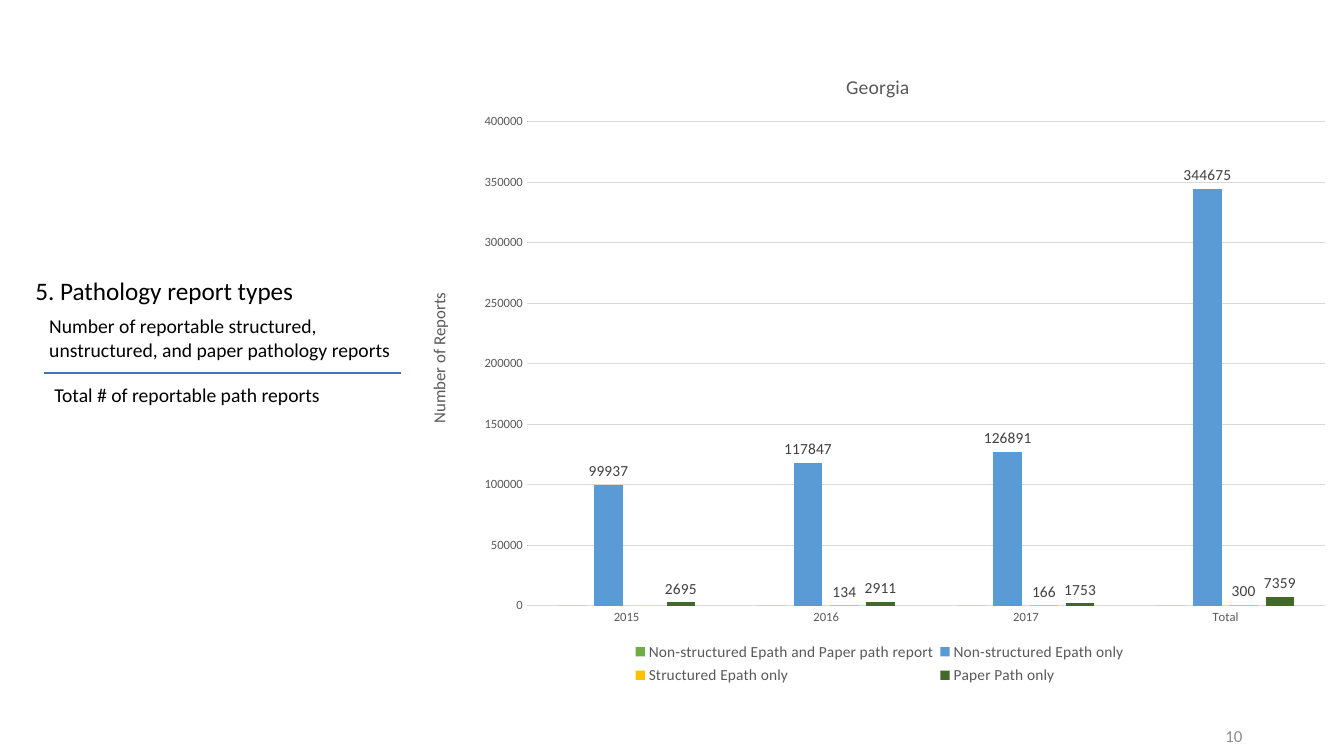
from dataclasses import dataclass
from typing import Optional

from lxml import etree
from pptx import Presentation
from pptx.chart.data import CategoryChartData
from pptx.dml.color import RGBColor
from pptx.enum.chart import XL_CHART_TYPE, XL_LABEL_POSITION, XL_LEGEND_POSITION, XL_TICK_MARK
from pptx.enum.shapes import MSO_CONNECTOR
from pptx.enum.text import MSO_ANCHOR, MSO_AUTO_SIZE, PP_ALIGN
from pptx.oxml import parse_xml
from pptx.oxml.ns import nsdecls, qn
from pptx.util import Pt

CLUSTERED = XL_CHART_TYPE.COLUMN_CLUSTERED
OUTSIDE_END = XL_LABEL_POSITION.OUTSIDE_END
LEGEND_BOTTOM = XL_LEGEND_POSITION.BOTTOM
NO_TICK = XL_TICK_MARK.NONE
STRAIGHT = MSO_CONNECTOR.STRAIGHT
TOP, MIDDLE = MSO_ANCHOR.TOP, MSO_ANCHOR.MIDDLE
LEFT, RIGHT = PP_ALIGN.LEFT, PP_ALIGN.RIGHT
EMU_PER_PX = 9144
TITLE_ONLY = 5


@dataclass(frozen=True)
class Theme:
    font: str = "Calibri"
    ink: str = "000000"
    chart_ink: str = "595959"
    label_ink: str = "404040"
    page_ink: str = "8C8C8C"
    grid: str = "D9D9D9"
    rule: str = "4472C4"
    title_size: int = 18
    body_size: int = 14
    small_size: int = 12
    legend_size: int = 11
    tick_size: int = 9


THEME = Theme()


@dataclass(frozen=True)
class Box:
    left: int
    top: int
    width: int
    height: int

    def emu(self) -> tuple:
        return px(self.left), px(self.top), px(self.width), px(self.height)


@dataclass(frozen=True)
class TextItem:
    text: str
    box: Box
    size: int = THEME.body_size
    color: str = THEME.ink
    align: PP_ALIGN = LEFT
    anchor: MSO_ANCHOR = TOP


@dataclass(frozen=True)
class ReportSeries:
    name: str
    values: tuple
    color: str
    labelled: bool = True
    unlabelled_point: Optional[int] = None


HEADING = TextItem("5. Pathology report types", Box(25, 268, 320, 40), THEME.title_size)
TEXTS = (
    TextItem("Number of reportable structured, unstructured, and paper pathology reports",
             Box(39, 307, 360, 57)),
    TextItem("Total # of reportable path reports", Box(44, 375, 301, 34)),
    TextItem("10", Box(942, 710, 300, 40), THEME.small_size, THEME.page_ink, RIGHT, MIDDLE),
)
CHART_BOX = Box(412, 44, 921, 640)
YEARS = ("2015", "2016", "2017", "Total")
REPORTS = (
    ReportSeries("Non-structured Epath and Paper path report", (0, 0, 0, 0), "70AD47", False),
    ReportSeries("Non-structured Epath only", (99937, 117847, 126891, 344675), "5B9BD5"),
    ReportSeries("Structured Epath only", (0, 134, 166, 300), "FFC000", unlabelled_point=0),
    ReportSeries("Paper Path only", (2695, 2911, 1753, 7359), "43682B"),
)


def px(length: int) -> int:
    return length * EMU_PER_PX


def style_font(font, size: int, color: str) -> None:
    font.name = THEME.font
    font.size = Pt(size)
    font.bold = False
    font.color.rgb = RGBColor.from_string(color)


def style_line(line, color: str, width: float) -> None:
    line.color.rgb = RGBColor.from_string(color)
    line.width = Pt(width)


def write_text(frame, text: str, *, size: int, color: str, align: Optional[PP_ALIGN] = None) -> None:
    paragraph = frame.paragraphs[0]
    run = paragraph.add_run()
    run.text = text
    paragraph.alignment = align
    style_font(run.font, size, color)


def fill_text_shape(shape, item: TextItem) -> None:
    shape.left, shape.top, shape.width, shape.height = item.box.emu()
    frame = shape.text_frame
    frame.word_wrap = True
    frame.auto_size = MSO_AUTO_SIZE.NONE
    frame.vertical_anchor = item.anchor
    write_text(frame, item.text, size=item.size, color=item.color, align=item.align)


def add_fraction_bar(slide) -> None:
    bar = slide.shapes.add_connector(STRAIGHT, px(44), px(370), px(398), px(370))
    style_line(bar.line, THEME.rule, 1.5)
    etree.SubElement(bar._element.spPr, qn("a:effectLst"))


def place_part(element, index: int, **fractions: float) -> None:
    previous = element.find(qn("c:layout"))
    if previous is not None:
        element.remove(previous)
    layout = etree.Element(qn("c:layout"))
    manual = etree.SubElement(layout, qn("c:manualLayout"))
    if element.tag == qn("c:plotArea"):
        etree.SubElement(manual, qn("c:layoutTarget")).set("val", "inner")
    for mode in ("xMode", "yMode"):
        etree.SubElement(manual, qn(f"c:{mode}")).set("val", "edge")
    for name, value in fractions.items():
        etree.SubElement(manual, qn(f"c:{name}")).set("val", str(value))
    element.insert(index, layout)


def style_series(series, report: ReportSeries) -> None:
    series.invert_if_negative = False
    series.format.fill.solid()
    series.format.fill.fore_color.rgb = RGBColor.from_string(report.color)
    if not report.labelled:
        return
    labels = series.data_labels
    style_font(labels.font, THEME.legend_size, THEME.label_ink)
    labels.number_format = "#######0"
    labels.number_format_is_linked = False
    labels.position = OUTSIDE_END
    labels.show_value = True
    if report.unlabelled_point is not None:
        labels._element.insert(0, parse_xml(
            f'<c:dLbl {nsdecls("c")}><c:idx val="{report.unlabelled_point}"/>'
            '<c:delete val="1"/></c:dLbl>'))


def style_axes(chart) -> None:
    for axis in (chart.category_axis, chart.value_axis):
        axis.major_tick_mark = NO_TICK
        axis.minor_tick_mark = NO_TICK
        style_font(axis.tick_labels.font, THEME.tick_size, THEME.chart_ink)
    style_line(chart.category_axis.format.line, THEME.grid, 0.75)
    values = chart.value_axis
    values.minimum_scale, values.maximum_scale, values.major_unit = 0, 400000, 50000
    values.format.line.fill.background()
    style_line(values.major_gridlines.format.line, THEME.grid, 0.75)
    write_text(values.axis_title.text_frame, "Number of Reports",
               size=THEME.small_size, color=THEME.chart_ink)
    place_part(values.axis_title._element, 1, x=0.01, y=0.38)


def add_report_chart(slide) -> None:
    data = CategoryChartData()
    data.categories = YEARS
    for report in REPORTS:
        data.add_series(report.name, report.values)
    chart = slide.shapes.add_chart(CLUSTERED, *CHART_BOX.emu(), data).chart
    chart.font.name = THEME.font
    chart.has_title = True
    write_text(chart.chart_title.text_frame, "Georgia",
               size=THEME.body_size, color=THEME.chart_ink)
    chart.chart_title.include_in_layout = False
    place_part(chart.chart_title._element, 1, x=0.46, y=0.04)
    plot = chart.plots[0]
    plot.gap_width, plot.overlap, plot.vary_by_categories = 219, -27, False
    for series, report in zip(plot.series, REPORTS):
        style_series(series, report)
    style_axes(chart)
    chart.has_legend = True
    chart.legend.position = LEGEND_BOTTOM
    chart.legend.include_in_layout = False
    style_font(chart.legend.font, THEME.legend_size, THEME.chart_ink)
    place_part(chart.legend._element, 1, x=0.23, y=0.92, w=0.54, h=0.08)
    place_part(chart._chartSpace.chart.plotArea, 0, x=0.12, y=0.12, w=0.86, h=0.75)


def main() -> None:
    presentation = Presentation()
    presentation.slide_width, presentation.slide_height = px(1333), px(750)
    slide = presentation.slides.add_slide(presentation.slide_layouts[TITLE_ONLY])
    fill_text_shape(slide.shapes.title, HEADING)
    for item in TEXTS:
        fill_text_shape(slide.shapes.add_textbox(*item.box.emu()), item)
    add_fraction_bar(slide)
    add_report_chart(slide)
    presentation.save("out.pptx")


if __name__ == "__main__":
    main()
